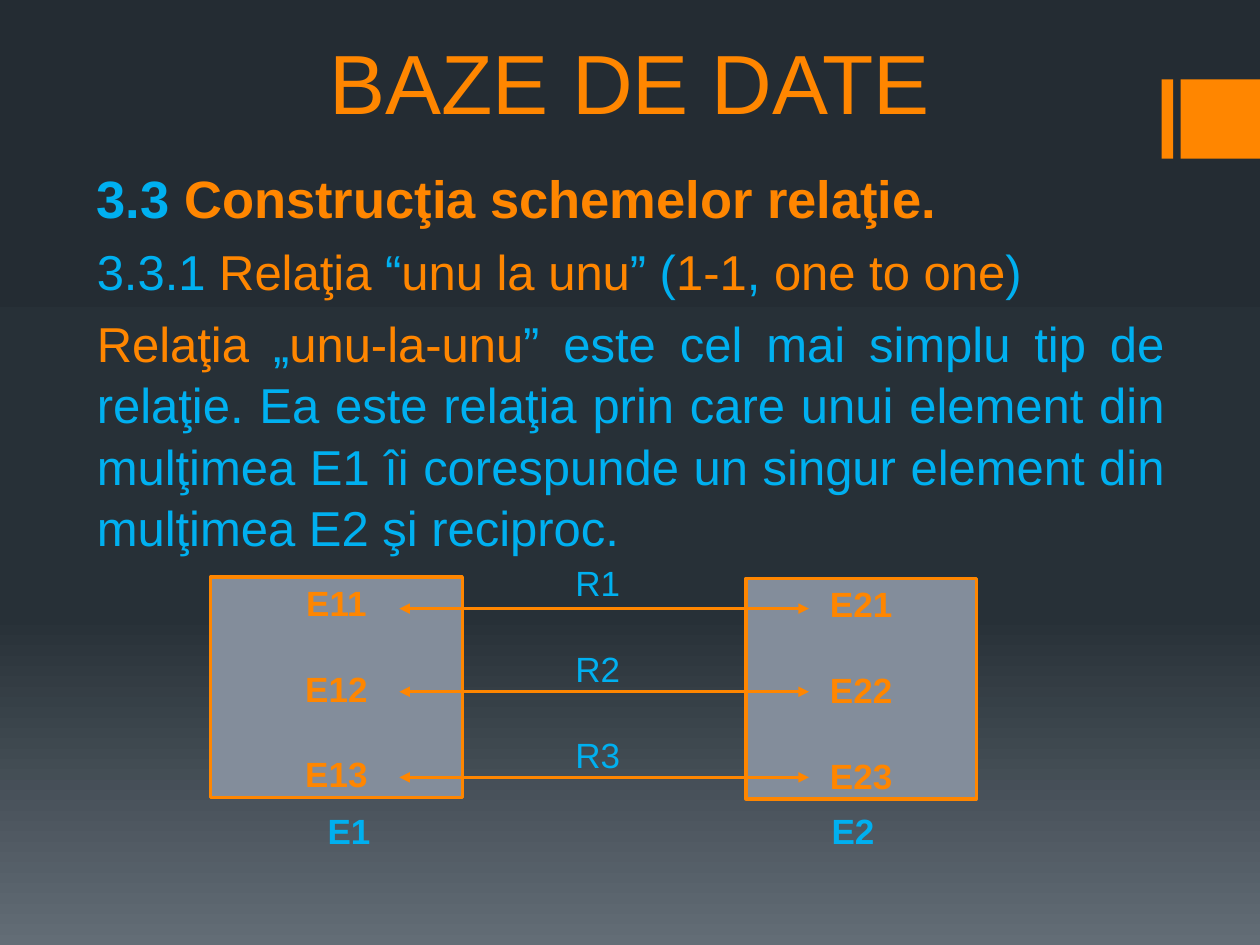
"""Build the slide on one-to-one relations between two sets."""
from copy import deepcopy
from pptx import Presentation
from pptx.dml.color import RGBColor
from pptx.enum.shapes import MSO_CONNECTOR, MSO_SHAPE
from pptx.enum.text import MSO_ANCHOR, PP_ALIGN
from pptx.oxml.ns import qn
from pptx.util import Inches, Pt
from lxml.etree import SubElement

ORANGE, BLUE, GREY = "FF8600", "00B0F0", "838D9B"


def paint(target, color):
    target.rgb = RGBColor.from_string(color)


def write(frame, lines, size, color, bold=False, gap=0):
    frame.word_wrap = True
    frame.vertical_anchor = MSO_ANCHOR.MIDDLE
    for i, line in enumerate(lines):
        para = frame.add_paragraph() if i else frame.paragraphs[0]
        para.text = line
        para.alignment = PP_ALIGN.CENTER
        para.line_spacing = 1.04
        para.space_before = Pt(gap if i else 0)
        para.font.name, para.font.size, para.font.bold = "Arial", Pt(size), bold
        paint(para.font.color, color)


deck = Presentation()
deck.slide_width, deck.slide_height = Inches(10), Inches(7.5)
slide = deck.slides.add_slide(deck.slide_layouts[5])
shapes = slide.shapes

back = slide.background.fill
back.gradient()
back.gradient_angle = 270
stops = slide._element.find(".//" + qn("a:gsLst"))
stops.append(deepcopy(stops[-1]))
for stop, place, color in zip(back.gradient_stops, (0, 0.65, 1), ("242C33", "273037", "636D76")):
    stop.position = place
    paint(stop.color, color)

title = shapes.title
title.left, title.top, title.width, title.height = map(Inches, (0.75, 0, 8.5, 1.09))
write(title.text_frame, ["BAZE DE DATE"], 48, ORANGE)
title.text_frame.vertical_anchor = MSO_ANCHOR.BOTTOM

members = [[f"E{group}{n}" for n in (1, 2, 3)] for group in (1, 2)]
blocks = [
    (9.22, 0.63, 0.09, 0.63, ORANGE, []),
    (9.37, 0.63, 0.63, 0.63, ORANGE, []),
    (1.67, 4.58, 2, 1.75, GREY, members[0]),
    (5.92, 4.59, 1.83, 1.75, GREY, members[1]),
]
for x, y, wide, high, color, names in blocks:
    block = shapes.add_shape(MSO_SHAPE.RECTANGLE, *map(Inches, (x, y, wide, high)))
    block.shadow.inherit = False
    block.fill.solid()
    paint(block.fill.fore_color, color)
    if names:
        paint(block.line.color, ORANGE)
        block.line.width = Pt(2)
        write(block.text_frame, names, 20, ORANGE, True, 24)
    else:
        block.line.fill.background()

body = shapes.add_textbox(*map(Inches, (0.67, 1.25, 8.67, 3.2))).text_frame
body.word_wrap = True
texts = [
    (30, True, PP_ALIGN.LEFT, [("3.3 ", BLUE), ("Construcţia schemelor relaţie.", ORANGE)]),
    (28, False, PP_ALIGN.JUSTIFY, [
        ("3.3.1 ", BLUE), ("Relaţia ", ORANGE), ("“", BLUE), ("unu la unu", ORANGE),
        ("” (", BLUE), ("1-1", ORANGE), (", ", BLUE), ("one to one", ORANGE), (")", BLUE)]),
    (28, False, PP_ALIGN.JUSTIFY, [
        ("Relaţia ", ORANGE), ("„", BLUE), ("unu-la-unu", ORANGE),
        ("” este cel mai simplu tip de relaţie. Ea este relaţia prin care unui element din "
         "mulţimea E1 îi corespunde un singur element din mulţimea E2 şi reciproc.", BLUE)]),
]
for i, (size, bold, align, parts) in enumerate(texts):
    para = body.add_paragraph() if i else body.paragraphs[0]
    para.alignment, para.line_spacing, para.space_before = align, 1.04, Pt(6)
    para.font.name, para.font.size, para.font.bold = "Arial", Pt(size), bold
    for text, color in parts:
        run = para.add_run()
        run.text = text
        paint(run.font.color, color)

for y in (4.83, 5.49, 6.17):
    arrow = shapes.add_connector(MSO_CONNECTOR.STRAIGHT, *map(Inches, (3.17, y, 6.42, y)))
    paint(arrow.line.color, ORANGE)
    arrow.line.width = Pt(2)
    line = arrow.line._get_or_add_ln()
    for end in ("a:headEnd", "a:tailEnd"):
        SubElement(line, qn(end), type="triangle")
    SubElement(arrow._element.spPr, qn("a:effectLst"))

labels = [
    (4.33, 4.43, 0.83, 1.74, ["R1", "R2", "R3"], False),
    (2.37, 6.42, 0.8, 0.33, ["E1"], True),
    (6.37, 6.42, 0.8, 0.33, ["E2"], True),
]
for x, y, wide, high, names, bold in labels:
    label = shapes.add_textbox(*map(Inches, (x, y, wide, high)))
    write(label.text_frame, names, 20, BLUE, bold, 24)

deck.save("out.pptx")
